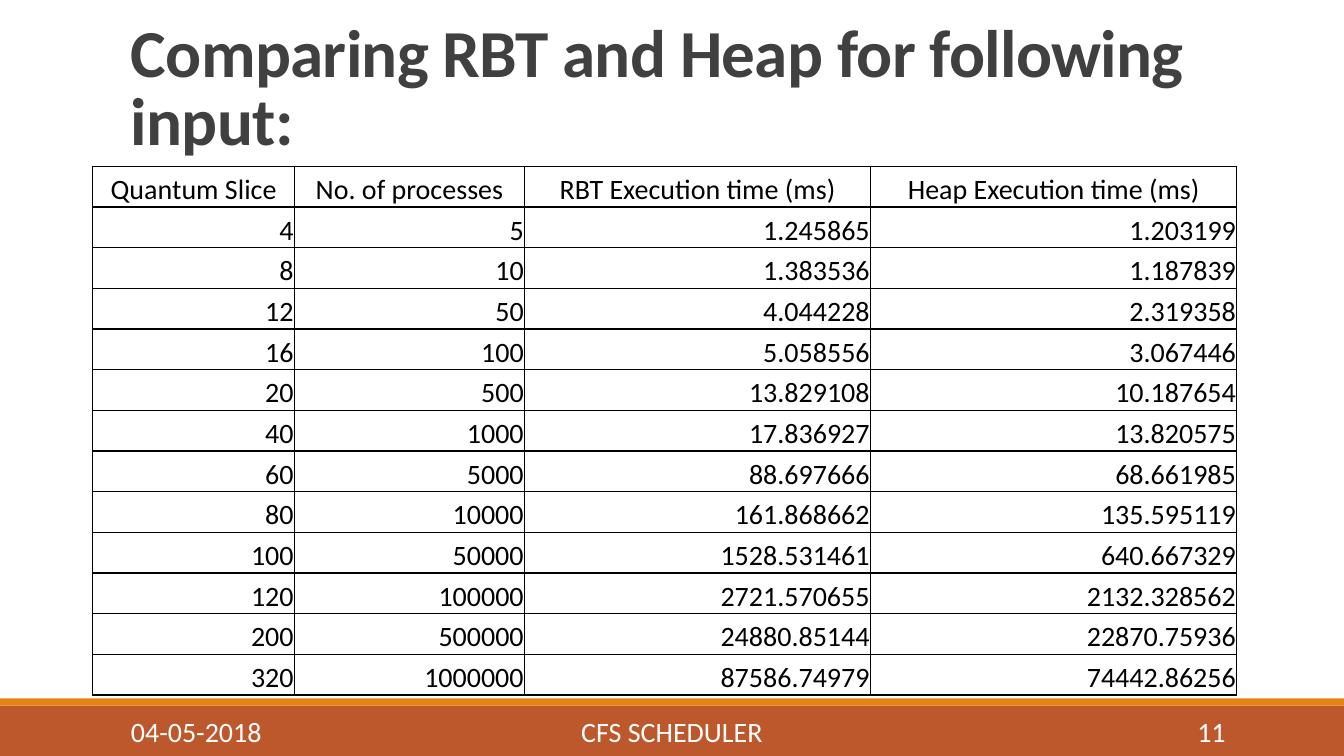
from lxml.etree import SubElement
from pptx import Presentation
from pptx.dml.color import RGBColor
from pptx.enum.shapes import MSO_SHAPE
from pptx.enum.text import MSO_ANCHOR, PP_ALIGN
from pptx.oxml.ns import qn
from pptx.util import Cm, Pt

WIDE, HIGH = 33.87, 19.05
LEFT, MID, RIGHT = PP_ALIGN.LEFT, PP_ALIGN.CENTER, PP_ALIGN.RIGHT

HEADS = ["Quantum Slice", "No. of processes",
         "RBT Execution time (ms)", "Heap Execution time (ms)"]
TIMES = [
    ["4", "5", "1.245865", "1.203199"],
    ["8", "10", "1.383536", "1.187839"],
    ["12", "50", "4.044228", "2.319358"],
    ["16", "100", "5.058556", "3.067446"],
    ["20", "500", "13.829108", "10.187654"],
    ["40", "1000", "17.836927", "13.820575"],
    ["60", "5000", "88.697666", "68.661985"],
    ["80", "10000", "161.868662", "135.595119"],
    ["100", "50000", "1528.531461", "640.667329"],
    ["120", "100000", "2721.570655", "2132.328562"],
    ["200", "500000", "24880.85144", "22870.75936"],
    ["320", "1000000", "87586.74979", "74442.86256"],
]


def color(code):
    return RGBColor.from_string(code)


class Deck:
    font = "Calibri"
    size = 20

    def __init__(self):
        self.show = Presentation()
        self.show.slide_width, self.show.slide_height = Cm(WIDE), Cm(HIGH)
        self.slide = self.show.slides.add_slide(self.show.slide_layouts[6])

    def band(self, top, high, fill):
        bar = self.slide.shapes.add_shape(
            MSO_SHAPE.RECTANGLE, 0, Cm(top), Cm(WIDE), Cm(high))
        bar.shadow.inherit = False
        bar.fill.solid()
        bar.fill.fore_color.rgb = color(fill)
        bar.line.fill.background()

    def words(self, para, text, ink, align, size=None, bold=False):
        para.alignment = align
        run = para.add_run()
        run.text = text
        run.font.name = self.font
        run.font.size = Pt(size or self.size)
        run.font.bold = bold
        run.font.color.rgb = color(ink)
        return run

    def box(self, left, top, wide, high, anchor):
        frame = self.slide.shapes.add_textbox(
            Cm(left), Cm(top), Cm(wide), Cm(high)).text_frame
        frame.word_wrap = True
        frame.vertical_anchor = anchor
        return frame.paragraphs[0]

    def title(self, text):
        para = self.box(3.05, 0.1, 27.94, 4.04, MSO_ANCHOR.BOTTOM)
        para.line_spacing = 0.85
        run = self.words(para, text, "404040", LEFT, 48, True)
        run._r.get_or_add_rPr().set("spc", "-50")

    def foot(self, left, wide, text, align):
        para = self.box(left, 17.93, wide, 1.02, MSO_ANCHOR.MIDDLE)
        self.words(para, text, "FFFFFF", align)

    def edge(self, cell, ink):
        props = cell._tc.get_or_add_tcPr()
        for name in ("a:lnL", "a:lnR", "a:lnT", "a:lnB"):
            line = SubElement(props, qn(name), w=str(Pt(1)))
            fill = SubElement(line, qn("a:solidFill"))
            SubElement(fill, qn("a:srgbClr"), val=ink)

    def cell(self, cell, text, align):
        # Borders must come before the fill
        self.edge(cell, "000000")
        cell.fill.solid()
        cell.fill.fore_color.rgb = color("FFFFFF")
        cell.margin_left = cell.margin_right = cell.margin_top = Cm(0.02)
        cell.margin_bottom = 0
        cell.vertical_anchor = MSO_ANCHOR.BOTTOM
        self.words(cell.text_frame.paragraphs[0], text, "000000", align)

    def table(self, left, top, wides, high, rows):
        grid = self.slide.shapes.add_table(
            len(rows), len(wides), Cm(left), Cm(top),
            Cm(sum(wides)), Cm(high)).table
        grid.first_row = grid.horz_banding = False
        for col, wide in zip(grid.columns, wides):
            col.width = Cm(wide)
        for r, row in enumerate(rows):
            grid.rows[r].height = Cm(high / len(rows))
            for c, text in enumerate(row):
                self.cell(grid.cell(r, c), text, RIGHT if r else MID)


def main():
    deck = Deck()
    # Footer bands
    deck.band(17.78, 1.27, "BD582C")
    deck.band(17.6, 0.18, "E48312")
    # Title and results
    deck.title("Comparing RBT and Heap for following input:")
    deck.table(2.34, 4.19, [5.08, 5.8, 8.72, 9.23], 13.33, [HEADS] + TIMES)
    # Footer text
    deck.foot(3.05, 6.86, "04-05-2018", LEFT)
    deck.foot(10.24, 13.39, "CFS SCHEDULER", MID)
    deck.foot(27.51, 3.63, "11", RIGHT)
    deck.show.save("out.pptx")


if __name__ == "__main__":
    main()
